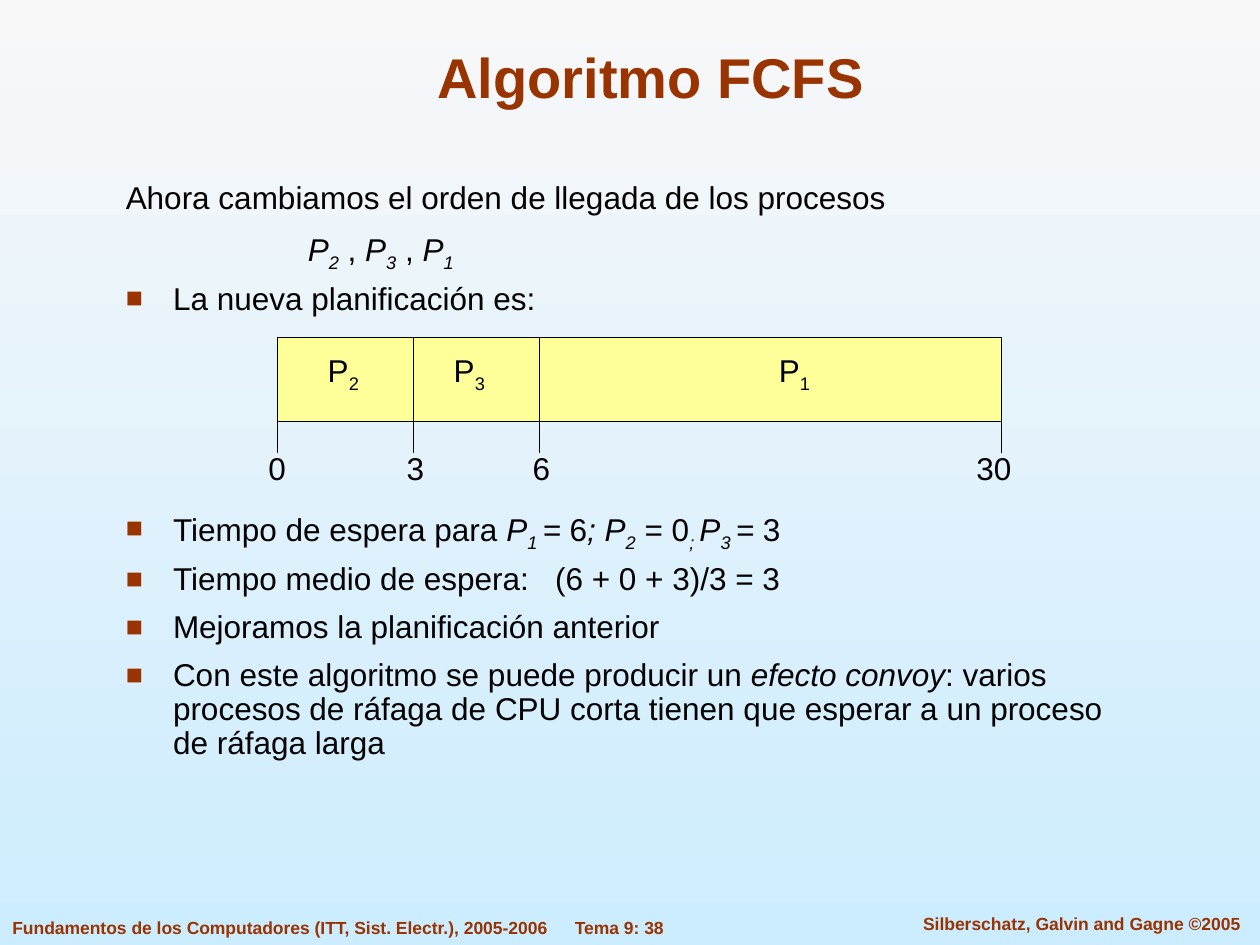
from lxml import etree
from pptx import Presentation
from pptx.dml.color import RGBColor
from pptx.enum import shapes, text
from pptx.oxml.ns import qn
from pptx.util import Pt

BROWN, BLACK, YELLOW = "993300", "000000", "FFFF99"
LEFT, CENTER = text.PP_ALIGN.LEFT, text.PP_ALIGN.CENTER
TOP, MIDDLE, BOTTOM = text.MSO_ANCHOR.TOP, text.MSO_ANCHOR.MIDDLE, text.MSO_ANCHOR.BOTTOM


def color(value):
    return RGBColor.from_string(value)


def write(box, paras, size=18, fill=BLACK, bold=False, align=LEFT, anchor=TOP,
          wrap=True, spacing=None):
    """Add a text box. A paragraph is (runs, gap before, left margin, bullet);
    a run is (text, style), where i is italic and s is subscript."""
    tf = s.shapes.add_textbox(*map(Pt, box)).text_frame
    tf.word_wrap, tf.vertical_anchor = wrap, anchor
    for n, (runs, gap, margin, bullet) in enumerate(paras):
        p = tf.paragraphs[0] if n == 0 else tf.add_paragraph()
        p.alignment, p.space_before, p.line_spacing = align, Pt(gap), spacing
        pPr = p._p.get_or_add_pPr()
        pPr.set("marL", str(Pt(margin)))
        pPr.set("indent", str(Pt(-margin if bullet else 0)))
        if bullet:
            clr = etree.SubElement(pPr, qn("a:buClr"))
            etree.SubElement(clr, qn("a:srgbClr"), val=BROWN)
            etree.SubElement(pPr, qn("a:buSzPct"), val="90000")
            etree.SubElement(pPr, qn("a:buFont"), typeface="Arial")
            etree.SubElement(pPr, qn("a:buChar"), char="■")
        for content, style in runs:
            r = p.add_run()
            r.text = content
            r.font.name, r.font.size, r.font.bold = "Arial", Pt(size), bold
            r.font.italic = "i" in style
            r.font.color.rgb = color(fill)
            if "s" in style:
                r._r.get_or_add_rPr().set("baseline", "-25000")


prs = Presentation()
prs.slide_width, prs.slide_height = Pt(720), Pt(540)
s = prs.slides.add_slide(prs.slide_layouts[6])

# Background gradient, top to bottom
bg = s.background.fill
bg.gradient()
bg.gradient_angle = 270
for stop, value in zip(bg.gradient_stops, ("F8F8F8", "CCECFF")):
    stop.color.rgb = color(value)

# Footer
for box, label, align, wrap in [
    ((302.4, 520.5, 103, 19.5), "Tema 9: 38", CENTER, False),
    ((511.2, 518.4, 213.8, 19.5), "Silberschatz, Galvin and Gagne ©2005", CENTER, True),
    ((0, 520.5, 321, 19.5),
     "Fundamentos de los Computadores (ITT, Sist. Electr.), 2005-2006", LEFT, False),
]:
    write(box, [([(label, "")], 0, 0, False)], size=10, fill=BROWN, bold=True,
          align=align, wrap=wrap)

# Title
write((54, 18, 635.8, 48.2), [([("Algoritmo FCFS", "")], 0, 0, False)],
      size=32, fill=BROWN, bold=True, align=CENTER, anchor=BOTTOM)

# Body, with a gap left for the chart
GAP, INDENT = 7.9, 27
order = [("P", "i"), ("2", "is"), (" , ", ""), ("P", "i"), ("3", "is"),
         (" , ", ""), ("P", "i"), ("1", "is")]
waits = [("Tiempo de espera para ", ""), ("P", "i"), ("1 ", "is"), ("=", "i"),
         (" 6", ""), ("; P", "i"), ("2", "is"), (" = 0", ""), ("; ", "is"),
         ("P", "i"), ("3 ", "is"), ("= ", "i"), ("3", "")]
convoy = [("Con este algoritmo se puede producir un ", ""), ("efecto convoy", "i"),
          (": varios procesos de ráfaga de CPU corta tienen que esperar a un "
           "proceso de ráfaga larga", "")]
write((64.8, 100.8, 578.9, 352.8), [
    ([("Ahora cambiamos el orden de llegada de los procesos", "")], 0, 0, False),
    (order, GAP, 104, False),
    ([("La nueva planificación es:", "")], GAP, INDENT, True),
    (waits, 110.8, INDENT, True),
    ([("Tiempo medio de espera:   (6 + 0 + 3)/3 = 3", "")], GAP, INDENT, True),
    ([("Mejoramos la planificación anterior", "")], GAP, INDENT, True),
    (convoy, GAP, INDENT, True),
], spacing=0.9)

# Gantt bar
X0, X1, BAR_TOP, BAR_BOTTOM, TICK_END = 158.4, 572.4, 193, 241, 259
sp = s.shapes.add_shape(shapes.MSO_SHAPE.RECTANGLE, Pt(X0), Pt(BAR_TOP),
                        Pt(X1 - X0), Pt(BAR_BOTTOM - BAR_TOP))
sp.shadow.inherit = False
sp.fill.solid()
sp.fill.fore_color.rgb = color(YELLOW)
sp.line.color.rgb = color(BLACK)
sp.line.width = Pt(0.75)

# Process names
for number, center in (("2", 196.2), ("3", 268.2), ("1", 454)):
    write((center - 16.2, 197.3, 32.4, 31.7),
          [([("P", ""), (number, "s")], 0, 0, False)],
          align=CENTER, anchor=MIDDLE, wrap=False)

# Dividers, ticks and times
for time, x, center in (("0", X0, X0), ("3", 236.4, 237.4),
                        ("6", 308.4, 309.4), ("30", X1, 568)):
    spans = [(BAR_BOTTOM, TICK_END)]
    if X0 < x < X1:
        spans.append((BAR_TOP, BAR_BOTTOM))
    for start, end in spans:
        line = s.shapes.add_connector(shapes.MSO_CONNECTOR.STRAIGHT,
                                      Pt(x), Pt(start), Pt(x), Pt(end))
        line.line.color.rgb = color(BLACK)
        line.line.width = Pt(0.75)
        etree.SubElement(line._element.spPr, qn("a:effectLst"))
    width = 14.4 + 10 * len(time)
    write((center - width / 2, 253, width, 28.8), [([(time, "")], 0, 0, False)],
          align=CENTER, anchor=MIDDLE, wrap=False)

prs.save("out.pptx")
